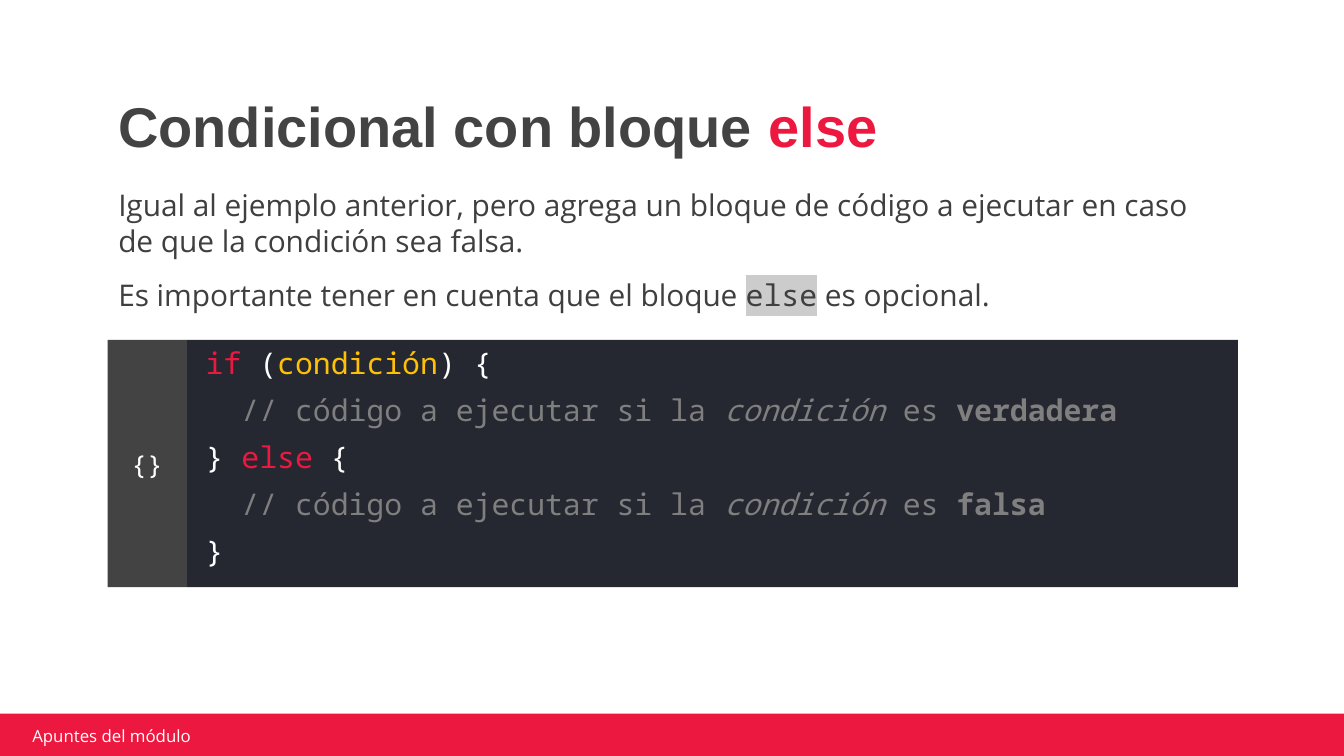
import pptx
import pptx.util
import pptx.dml.color
import pptx.enum.shapes
import pptx.enum.text
import pptx.oxml
import pptx.oxml.ns

Inches = pptx.util.Inches
Pt = pptx.util.Pt
ANCHOR = pptx.enum.text.MSO_ANCHOR
ALIGN = pptx.enum.text.PP_ALIGN

RED, WHITE, INK, DARK = "EC183F", "FFFFFF", "3F3F3F", "434343"
NAVY, AMBER, GREY, SILVER = "262831", "FFC107", "7F7F7F", "CCCCCC"
SANS, MONO, HEAD = "Open Sans", "Noto Sans Mono", "Arial"


def rgb(value):
    return pptx.dml.color.RGBColor.from_string(value)


class Deck:
    """Holds the presentation, its text styles and the current slide."""

    styles = {
        "title": {"name": HEAD, "size": Pt(30), "bold": True, "color": DARK},
        "body": {"name": SANS, "size": Pt(16), "color": INK},
        "code": {"name": MONO, "size": Pt(16), "color": WHITE},
        "badge": {"name": MONO, "size": Pt(14), "color": WHITE},
        "footer": {"name": SANS, "size": Pt(9), "color": WHITE},
    }

    def __init__(self, width, height):
        self.prs = pptx.Presentation()
        self.prs.slide_width = Inches(width)
        self.prs.slide_height = Inches(height)

    def add_slide(self):
        self.s = self.prs.slides.add_slide(self.prs.slide_layouts[1])
        self.s.background.fill.solid()
        self.s.background.fill.fore_color.rgb = rgb(WHITE)

    def run(self, p, text, style, **changes):
        r = p.add_run()
        r.text = text
        values = {**self.styles[style], **changes}
        r.font.color.rgb = rgb(values.pop("color"))
        highlight = values.pop("highlight", None)
        for key, value in values.items():
            setattr(r.font, key, value)
        if highlight:
            mark = pptx.oxml.parse_xml(
                f'<a:highlight {pptx.oxml.ns.nsdecls("a")}>'
                f'<a:srgbClr val="{highlight}"/></a:highlight>')
            r._r.rPr.find(pptx.oxml.ns.qn("a:solidFill")).addnext(mark)

    def text(self, sp, paragraphs, style, insets=(0.1, 0.1, 0.1, 0.1),
             anchor=ANCHOR.TOP, gap=0, **layout):
        """Fill a shape with paragraphs, each a list of (text, changes) runs."""
        tf = sp.text_frame
        left, top, right, bottom = map(Inches, insets)
        frame = {"word_wrap": True, "auto_size": pptx.enum.text.MSO_AUTO_SIZE.NONE,
                 "vertical_anchor": anchor, "margin_left": left, "margin_top": top,
                 "margin_right": right, "margin_bottom": bottom}
        for key, value in frame.items():
            setattr(tf, key, value)
        for i, runs in enumerate(paragraphs):
            p = tf.add_paragraph() if i else tf.paragraphs[0]
            spacing = {"space_before": Pt(gap if i else 0), "line_spacing": 1.0,
                       "alignment": ALIGN.LEFT}
            for key, value in {**spacing, **layout}.items():
                setattr(p, key, value)
            for text, changes in runs:
                self.run(p, text, style, **changes)

    def placeholder(self, index, box, paragraphs, style, **layout):
        sp = self.s.placeholders[index]
        sp.left, sp.top, sp.width, sp.height = map(Inches, box)
        self.text(sp, paragraphs, style, **layout)
        for p in sp.text_frame.paragraphs:
            pPr = p._p.get_or_add_pPr()
            pPr.set("marL", "0")
            pPr.set("indent", "0")
            pPr.append(pptx.oxml.parse_xml(
                f'<a:buNone {pptx.oxml.ns.nsdecls("a")}/>'))

    def rect(self, box, fill, parent=None):
        sp = (parent or self.s).shapes.add_shape(
            pptx.enum.shapes.MSO_SHAPE.RECTANGLE, *map(Inches, box))
        sp.shadow.inherit = False
        sp.fill.solid()
        sp.fill.fore_color.rgb = rgb(fill)
        sp.line.fill.background()
        return sp

    def code_block(self, left, top, width, height, badge_width, lines):
        group = self.s.shapes.add_group_shape()
        panel = self.rect((left + badge_width, top, width - badge_width, height),
                          NAVY, group)
        self.text(panel, lines, "code", insets=(0.14, 0, 0.1, 0.1),
                  anchor=ANCHOR.MIDDLE, gap=6)
        badge = self.rect((left, top, badge_width, height), DARK, group)
        self.text(badge, [[("{}", {})]], "badge", anchor=ANCHOR.MIDDLE,
                  alignment=ALIGN.CENTER)

    def footer(self, label):
        self.rect((-0.02, 5.31, 10.03, 0.36), RED)
        sp = self.s.shapes.add_textbox(*map(Inches, (0.19, 5.4, 2.39, 0.15)))
        self.text(sp, [[(label, {})]], "footer",
                  insets=(0.05, 0.02, 0.05, 0.02), anchor=ANCHOR.MIDDLE)


def comment(result):
    """Code line that says which result of the condition runs the block."""
    grey = {"color": GREY}
    return [("  ", {"color": INK}), ("// código a ejecutar si la ", grey),
            ("condición ", {**grey, "italic": True}), ("es ", grey),
            (result, {**grey, "bold": True})]


def main():
    deck = Deck(10, 10 * 9 / 16)
    deck.add_slide()
    red = {"color": RED}
    deck.placeholder(0, (0.78, 0.6, 8.43, 0.69),
                     [[("Condicional con bloque ", {}), ("else", red)]],
                     "title", anchor=ANCHOR.BOTTOM, line_spacing=0.9)
    deck.placeholder(1, (0.78, 1.29, 8.43, 0.53), [
        [("Igual al ejemplo anterior, pero agrega un bloque de código a ejecutar "
          "en caso de que la condición sea falsa.", {})],
        [("Es importante tener en cuenta que el bloque ", {}),
         ("else", {"name": MONO, "highlight": SILVER}),
         (" es opcional.", {})],
    ], "body", gap=10)
    deck.code_block(0.8, 2.53, 8.41, 1.84, 0.59, [
        [("if", red), (" (", {}), ("condición", {"color": AMBER}), (") {", {})],
        comment("verdadera"),
        [("} ", {}), ("else", red), (" {", {})],
        comment("falsa"),
        [("}", {})],
    ])
    deck.footer("Apuntes del módulo")
    deck.prs.save("out.pptx")


if __name__ == "__main__":
    main()
